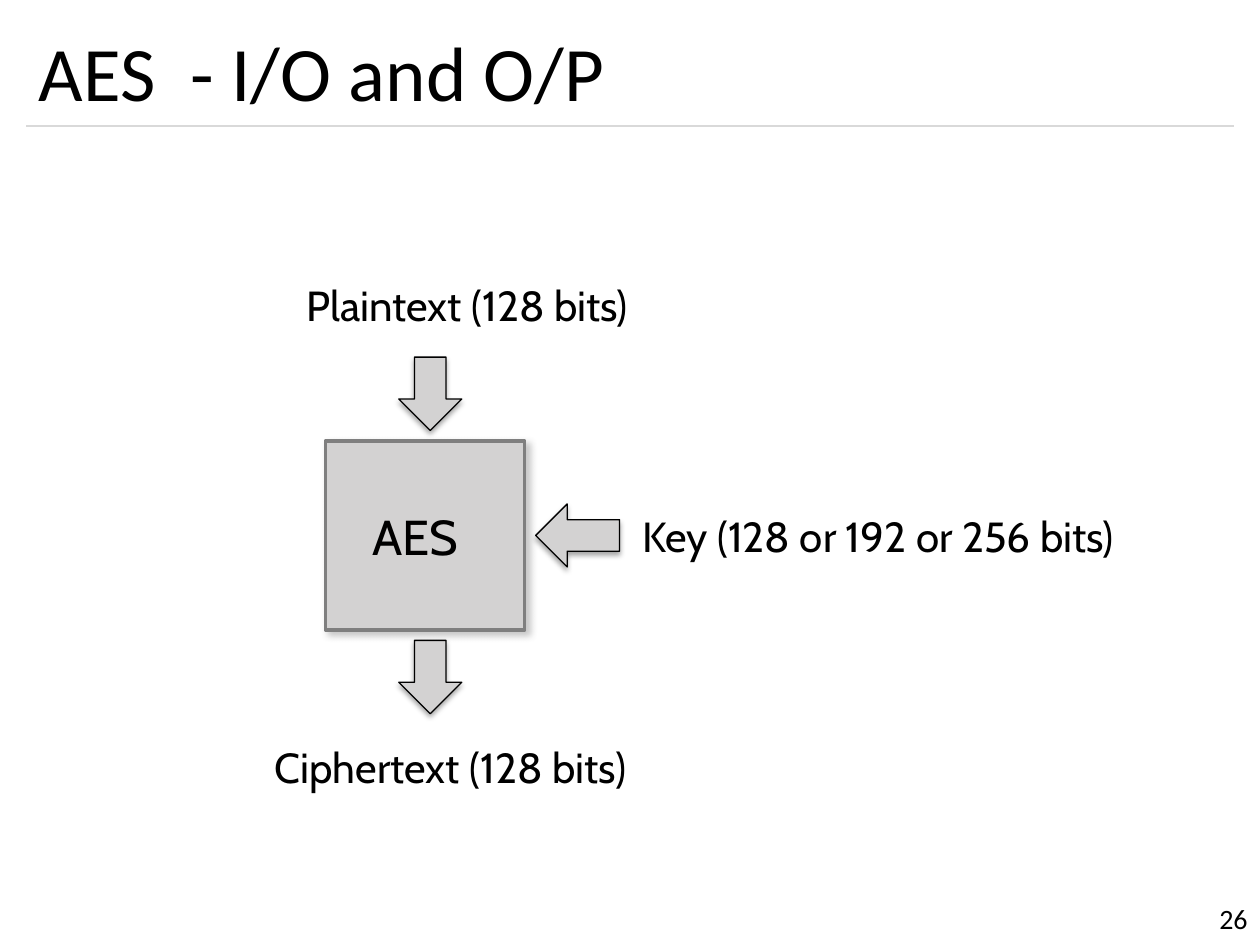
"""Build a slide showing the inputs and outputs of the AES cipher."""
from lxml import etree
from pptx import Presentation
from pptx.dml.color import RGBColor
from pptx.enum.shapes import MSO_CONNECTOR as Connector, MSO_SHAPE as Shape
from pptx.enum.text import MSO_ANCHOR as Anchor, PP_ALIGN as Align
from pptx.oxml.ns import qn
from pptx.util import Cm, Pt

BLACK = RGBColor(0x00, 0x00, 0x00)
SILVER = RGBColor(0xD3, 0xD2, 0xD2)
GRAY = RGBColor(0x7F, 0x7F, 0x7F)
SHADOW_GRAY = RGBColor(0x80, 0x80, 0x80)
RULE_GRAY = RGBColor(0xD9, 0xD9, 0xD9)


def write(box, text, size, font="Cabin", align=Align.LEFT, anchor=Anchor.MIDDLE, wrap=True):
    frame = box.text_frame
    frame.word_wrap = wrap
    frame.vertical_anchor = anchor
    para = frame.paragraphs[0]
    para.alignment = align
    span = para.add_run()
    span.text = text
    span.font.size = Pt(size)
    span.font.name = font
    span.font.color.rgb = BLACK


def add_block(kind, left, top, width, height, line, weight, shadow, alpha, blur, distance, angle):
    block = slide.shapes.add_shape(kind, Cm(left), Cm(top), Cm(width), Cm(height))
    block.fill.solid()
    block.fill.fore_color.rgb = SILVER
    block.line.color.rgb = line
    block.line.width = Pt(weight)
    block.shadow.inherit = False
    effects = block.element.spPr.find(qn("a:effectLst"))
    outer = etree.SubElement(effects, qn("a:outerShdw"), blurRad=str(Pt(blur)),
                             dist=str(Pt(distance)), dir=str(angle * 60000),
                             algn="ctr", rotWithShape="0")
    color = etree.SubElement(outer, qn("a:srgbClr"), val=str(shadow))
    etree.SubElement(color, qn("a:alpha"), val=str(alpha * 1000))
    return block


deck = Presentation()
deck.slide_width, deck.slide_height = Cm(25.4), Cm(19.05)
slide = deck.slides.add_slide(deck.slide_layouts[5])

title = slide.shapes.title
title.left, title.top, title.width, title.height = Cm(0.53), Cm(0.3), Cm(24.33), Cm(2.24)
write(title, "AES  - I/O and O/P", 44, font="Calibri")

rule = slide.shapes.add_connector(Connector.STRAIGHT, Cm(0.53), Cm(2.54), Cm(24.87), Cm(2.54))
rule.line.color.rgb = RULE_GRAY
rule.line.width = Pt(0.75)
etree.SubElement(rule.element.spPr, qn("a:effectLst"))

number = slide.shapes.add_textbox(Cm(0), Cm(17.98), Cm(25.4), Cm(1.07))
write(number, "26", 16, font="Calibri", align=Align.RIGHT)

cipher = add_block(Shape.RECTANGLE, 6.56, 8.89, 4.02, 3.81, GRAY, 2, SHADOW_GRAY, 43, 4, 3, 45)
cipher.text_frame.margin_left = Cm(0.95)
write(cipher, "AES", 28)

labels = [
    ("Plaintext (128 bits)", 5.93, 5.5, 7.06),
    ("Ciphertext (128 bits)", 5.29, 14.82, 7.87),
    ("Key (128 or 192 or 256 bits)", 12.7, 10.16, 10.46),
]
for text, left, top, width in labels:
    label = slide.shapes.add_textbox(Cm(left), Cm(top), Cm(width), Cm(1.28))
    write(label, text, 24, anchor=Anchor.TOP, wrap=False)

arrows = [
    (Shape.DOWN_ARROW, 8.04, 7.2, 1.27, 1.48),
    (Shape.DOWN_ARROW, 8.04, 12.91, 1.27, 1.48),
    (Shape.LEFT_ARROW, 10.8, 10.16, 1.69, 1.27),
]
for kind, left, top, width, height in arrows:
    add_block(kind, left, top, width, height, BLACK, 0.75, BLACK, 35, 3.1, 1.8, 90)

deck.save("out.pptx")
